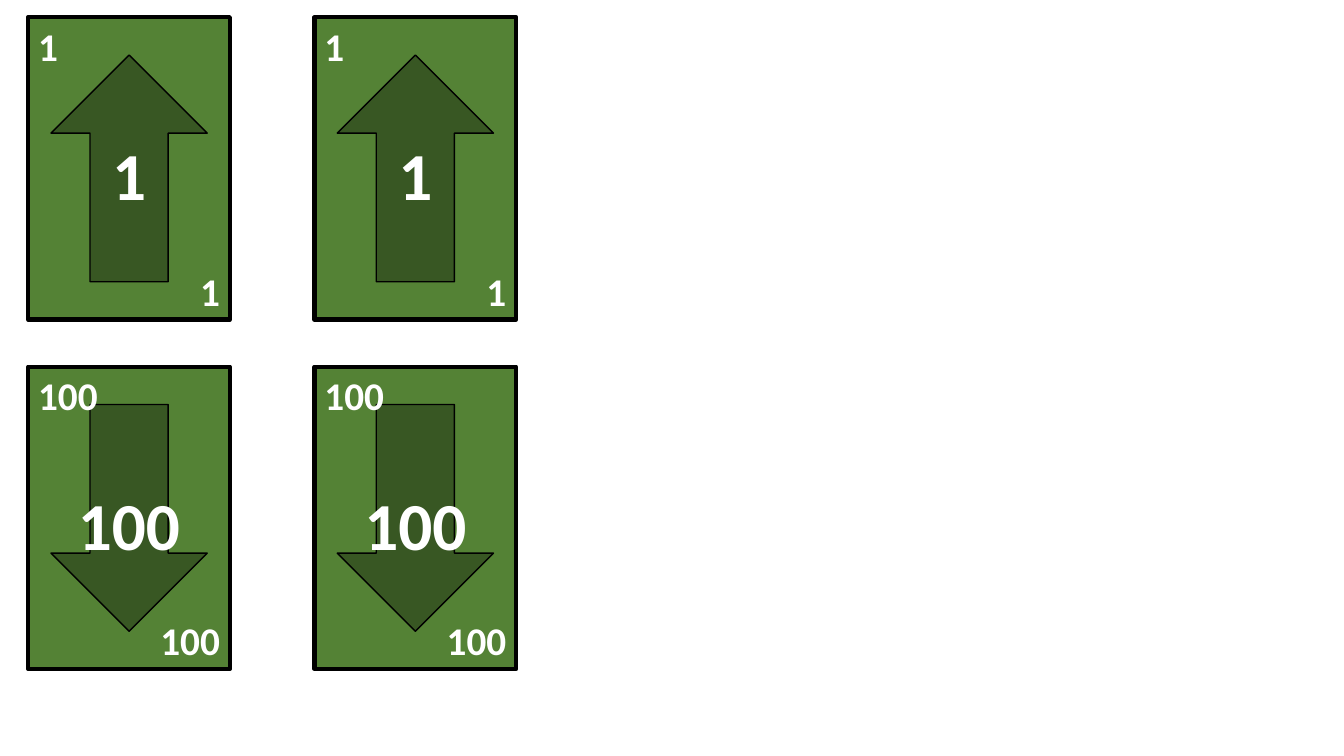
from dataclasses import dataclass

from pptx import Presentation
from pptx.dml.color import RGBColor
from pptx.enum.shapes import MSO_SHAPE
from pptx.enum.text import MSO_AUTO_SIZE, PP_ALIGN
from pptx.shapes.group import GroupShape
from pptx.util import Pt

RECTANGLE = MSO_SHAPE.RECTANGLE
UP_ARROW, DOWN_ARROW = MSO_SHAPE.UP_ARROW, MSO_SHAPE.DOWN_ARROW
LEFT, CENTER, RIGHT = PP_ALIGN.LEFT, PP_ALIGN.CENTER, PP_ALIGN.RIGHT
FIT_SHAPE = MSO_AUTO_SIZE.SHAPE_TO_FIT_TEXT

COLORS = {"card": "548235", "arrow": "385723", "outline": "000000", "text": "FFFFFF"}
FONT = "Calibri"

# Card grid, in points
GRID_LEFT, GRID_TOP = 20.2, 12.3
COLUMN_PITCH, ROW_PITCH = 204.5, 249.6
COLUMNS = 2
CARD_WIDTH, CARD_HEIGHT = 144, 216
ARROW_WIDTH, ARROW_HEIGHT = 111.6, 162
CORNER_HEIGHT, CENTER_HEIGHT = 41.2, 65.4


@dataclass(frozen=True)
class Card:
    value: str
    arrow: MSO_SHAPE


@dataclass(frozen=True)
class Label:
    top: float
    height: float
    size: float
    alignment: PP_ALIGN


CARDS = [Card("1", UP_ARROW), Card("100", DOWN_ARROW)]
LABELS = [
    Label(0, CORNER_HEIGHT, 28, LEFT),
    Label((CARD_HEIGHT - CENTER_HEIGHT) / 2 + 4.4, CENTER_HEIGHT, 48, CENTER),
    Label(CARD_HEIGHT - CORNER_HEIGHT, CORNER_HEIGHT, 28, RIGHT),
]


def add_centered_shape(group: GroupShape, kind: MSO_SHAPE, left: float, top: float,
                       width: float, height: float, color: str, line_width: float) -> None:
    """Add an outlined shape centred on the card at left, top."""
    shape = group.shapes.add_shape(
        kind, Pt(left + (CARD_WIDTH - width) / 2), Pt(top + (CARD_HEIGHT - height) / 2),
        Pt(width), Pt(height))
    shape.shadow.inherit = False
    shape.fill.solid()
    shape.fill.fore_color.rgb = RGBColor.from_string(COLORS[color])
    shape.line.color.rgb = RGBColor.from_string(COLORS["outline"])
    shape.line.width = Pt(line_width)


def add_label(group: GroupShape, label: Label, text: str, left: float, top: float) -> None:
    box = group.shapes.add_textbox(
        Pt(left), Pt(top + label.top), Pt(CARD_WIDTH), Pt(label.height))
    frame = box.text_frame
    frame.word_wrap = True
    frame.auto_size = FIT_SHAPE
    paragraph = frame.paragraphs[0]
    paragraph.alignment = label.alignment
    run = paragraph.add_run()
    run.text = text
    run.font.name = FONT
    run.font.size = Pt(label.size)
    run.font.bold = True
    run.font.color.rgb = RGBColor.from_string(COLORS["text"])


def add_card(group: GroupShape, card: Card, left: float, top: float) -> None:
    add_centered_shape(group, RECTANGLE, left, top, CARD_WIDTH, CARD_HEIGHT, "card", 3)
    add_centered_shape(group, card.arrow, left, top, ARROW_WIDTH, ARROW_HEIGHT, "arrow", 1)
    for label in LABELS:
        add_label(group, label, card.value, left, top)


def main() -> None:
    presentation = Presentation()
    presentation.slide_width, presentation.slide_height = Pt(960), Pt(540)
    slide = presentation.slides.add_slide(presentation.slide_layouts[6])

    # One row per card, repeated across the columns
    for row, card in enumerate(CARDS):
        for column in range(COLUMNS):
            add_card(slide.shapes.add_group_shape(), card,
                     GRID_LEFT + column * COLUMN_PITCH, GRID_TOP + row * ROW_PITCH)

    presentation.save("out.pptx")


if __name__ == "__main__":
    main()
